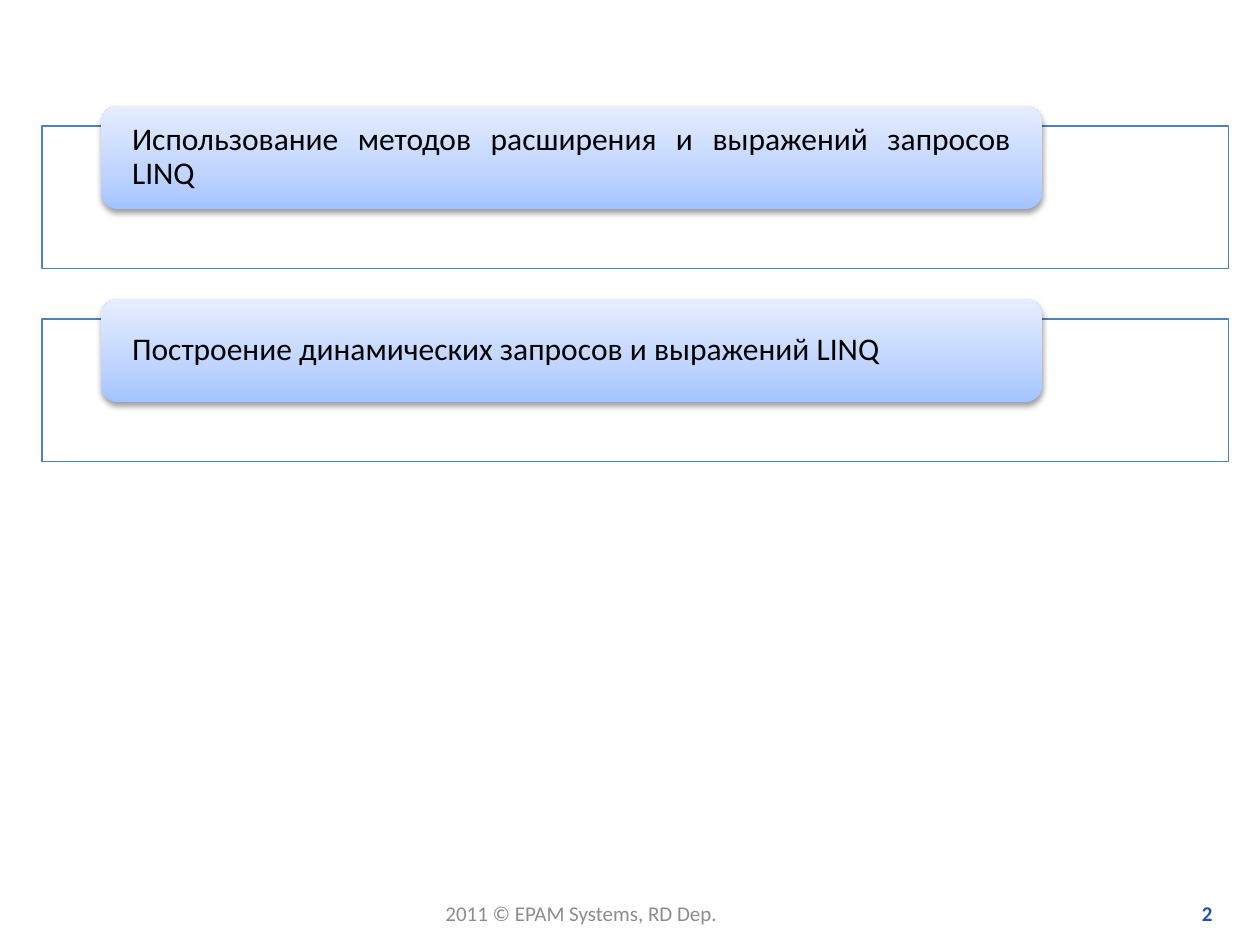
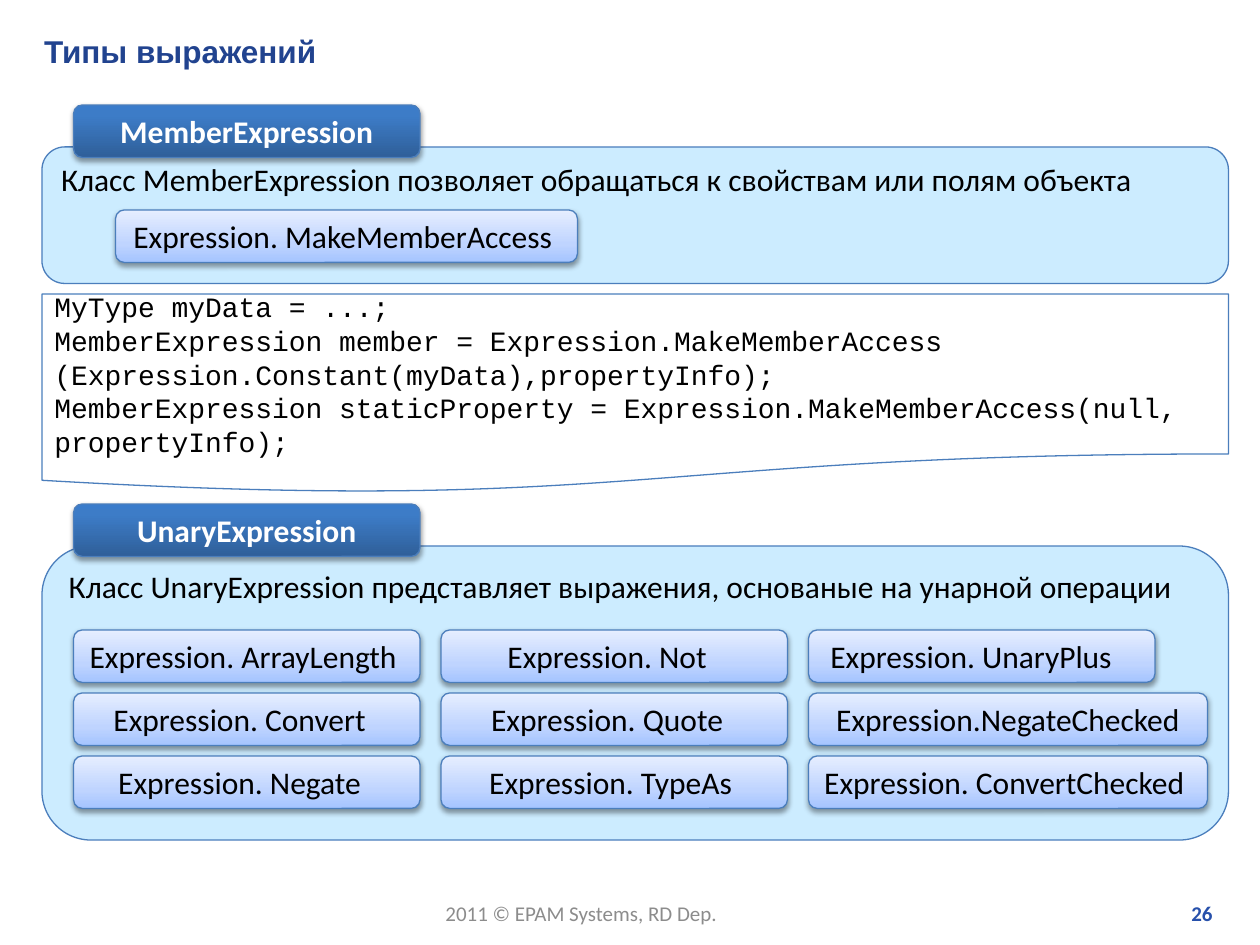
from lxml.etree import SubElement as Sub
from pptx import Presentation
from pptx.dml.color import RGBColor as Rgb
from pptx.enum.shapes import MSO_SHAPE as Form
from pptx.enum.text import MSO_ANCHOR as Anchor, PP_ALIGN as Align
from pptx.oxml.ns import qn
from pptx.util import Pt

HUES = {
    "white": "FFFFFF", "black": "000000", "gray": "8C8C8C", "title": "21438F",
    "page": "2750AB", "frame": "4F81BD", "edge": "4B7EBC", "panel": "CCECFF",
}
PALE = [(0, "A4C4FF"), (35, "BFD4FF"), (100, "E6EEFF")]
DEEP = [(0, "2F5F99"), (80, "3D7CC7"), (100, "3A7CCB")]
LEFT, WIDE = 24, 678
TALL = 30


class Deck:
    """Hold the shared style and the current slide."""

    def __init__(self):
        self.prs = Presentation()
        self.prs.slide_width, self.prs.slide_height = Pt(720), Pt(540)
        self.slide = None

    def start(self, page, title=None):
        """Add a slide with its footer and, if given, its title."""
        self.slide = self.prs.slides.add_slide(self.prs.slide_layouts[5 if title else 6])
        self.label("2011 © EPAM Systems, RD Dep.", (247.5, 511, 172, 22), "gray")
        self.label(page, (547, 511, 153, 22), "page", Align.RIGHT, True)
        if title:
            head = self.slide.shapes.title
            self.place(head, (18, 14.4, 687, 28.8))
            self.style(head, title, "title", Align.LEFT, True, face="Arial")

    def place(self, shape, area):
        """Move and size a shape."""
        shape.left, shape.top, shape.width, shape.height = map(Pt, area)

    def style(self, shape, text, hue, align, bold=False, size=18, face="Calibri",
              anchor=Anchor.MIDDLE):
        """Set and format the text of a shape."""
        frame = shape.text_frame
        frame.text = text
        frame.word_wrap = True
        frame.vertical_anchor = anchor
        for par in frame.paragraphs:
            par.alignment = align
            for run in par.runs:
                font = run.font
                font.name, font.size, font.bold = face, Pt(size), bold
                font.color.rgb = Rgb.from_string(HUES[hue])

    def label(self, text, area, hue, align=Align.LEFT, bold=False):
        """Add a small footer text."""
        box = self.slide.shapes.add_textbox(*map(Pt, area))
        self.style(box, text, hue, align, bold, 12, anchor=Anchor.TOP)

    def block(self, form, area, fill="white", line="edge"):
        """Add a flat outlined shape."""
        shape = self.slide.shapes.add_shape(form, *map(Pt, area))
        shape.shadow.inherit = False
        shape.fill.solid()
        shape.fill.fore_color.rgb = Rgb.from_string(HUES[fill])
        if line:
            shape.line.color.rgb = Rgb.from_string(HUES[line])
            shape.line.width = Pt(0.75)
        else:
            shape.line.fill.background()
        return shape

    def glossy(self, area, stops, line="edge"):
        """Add a rounded shape with a gradient and a soft shadow."""
        shape = self.block(Form.ROUNDED_RECTANGLE, area, line=line)
        shape.fill.gradient()
        shape.fill.gradient_angle = 90
        props = shape._element.spPr
        ramp = props.find(qn("a:gradFill")).find(qn("a:gsLst"))
        for stop in list(ramp):
            ramp.remove(stop)
        for pos, hue in stops:
            stop = Sub(ramp, qn("a:gs"), pos=str(pos * 1000))
            Sub(stop, qn("a:srgbClr"), val=hue)
        glow = Sub(props.find(qn("a:effectLst")), qn("a:outerShdw"),
                   blurRad=str(Pt(3.1)), dist=str(Pt(1.6)), dir="5400000", rotWithShape="0")
        Sub(Sub(glow, qn("a:srgbClr"), val=HUES["black"]), qn("a:alpha"), val="38000")
        return shape

    def topic(self, text, top):
        """Add a framed agenda item."""
        self.block(Form.RECTANGLE, (LEFT, top, WIDE, 81.4), line="frame")
        card = self.glossy((57.6, top - 11.5, 538, 59), PALE, None)
        self.style(card, text, "black", Align.JUSTIFY)
        frame = card.text_frame
        frame.margin_left = frame.margin_right = Pt(15)
        frame.margin_top = frame.margin_bottom = 0
        frame.paragraphs[0].line_spacing = 0.9

    def panel(self, name, text, top, high):
        """Add a class panel with its name tab."""
        body = self.block(Form.ROUNDED_RECTANGLE, (LEFT, top, WIDE, high), "panel")
        self.style(body, text, "black", Align.JUSTIFY, anchor=Anchor.TOP)
        tab = self.glossy((42, top - 24, 198, TALL), DEEP)
        self.style(tab, name, "white", Align.CENTER, True)

    def button(self, text, left, top, wide=198, shift=0):
        """Add a method button, its text drawn left by half the shift."""
        shape = self.glossy((left, top, wide, TALL), PALE)
        self.style(shape, text, "black", Align.CENTER)
        shape.text_frame.margin_right = Pt(7.2 + shift)

    def code(self, text, area):
        """Add a code sheet."""
        sheet = self.block(Form.FLOWCHART_DOCUMENT, area)
        self.style(sheet, text, "black", Align.LEFT, size=16, face="Courier New")


def main():
    """Build both slides and save them."""
    deck = Deck()

    deck.start("2")
    topics = ["Использование методов расширения и выражений запросов LINQ",
              "Построение динамических запросов и выражений LINQ"]
    for row, text in enumerate(topics):
        deck.topic(text, 72 + row * 110.3)

    deck.start("26", "Типы выражений")
    deck.panel("MemberExpression",
               "Класс MemberExpression позволяет обращаться к свойствам или полям объекта",
               84, 78)
    deck.button("Expression. MakeMemberAccess", 66, 120, 264, 4)
    deck.code("MyType myData = ...;\n"
              "MemberExpression member = Expression.MakeMemberAccess "
              "(Expression.Constant(myData),propertyInfo);\n"
              "MemberExpression staticProperty = "
              "Expression.MakeMemberAccess(null, propertyInfo);",
              (LEFT, 168, WIDE, 114))
    deck.panel("UnaryExpression",
               "Класс UnaryExpression представляет выражения, основаные на унарной операции",
               312, 168)
    grid = [
        [("Expression. ArrayLength", 198, 4), ("Expression. Not", 198, 8),
         ("Expression. UnaryPlus", 198, 12)],
        [("Expression. Convert", 198, 8), ("Expression. Quote", 198, 8),
         ("Expression.NegateChecked", 228, 0)],
        [("Expression. Negate", 198, 8), ("Expression. TypeAs", 198, 4),
         ("Expression. ConvertChecked", 228, 4)],
    ]
    for row, cells in enumerate(grid):
        for col, (text, wide, shift) in enumerate(cells):
            deck.button(text, 42 + col * 210, 360 + row * 36, wide, shift)

    deck.prs.save("out.pptx")


if __name__ == "__main__":
    main()
